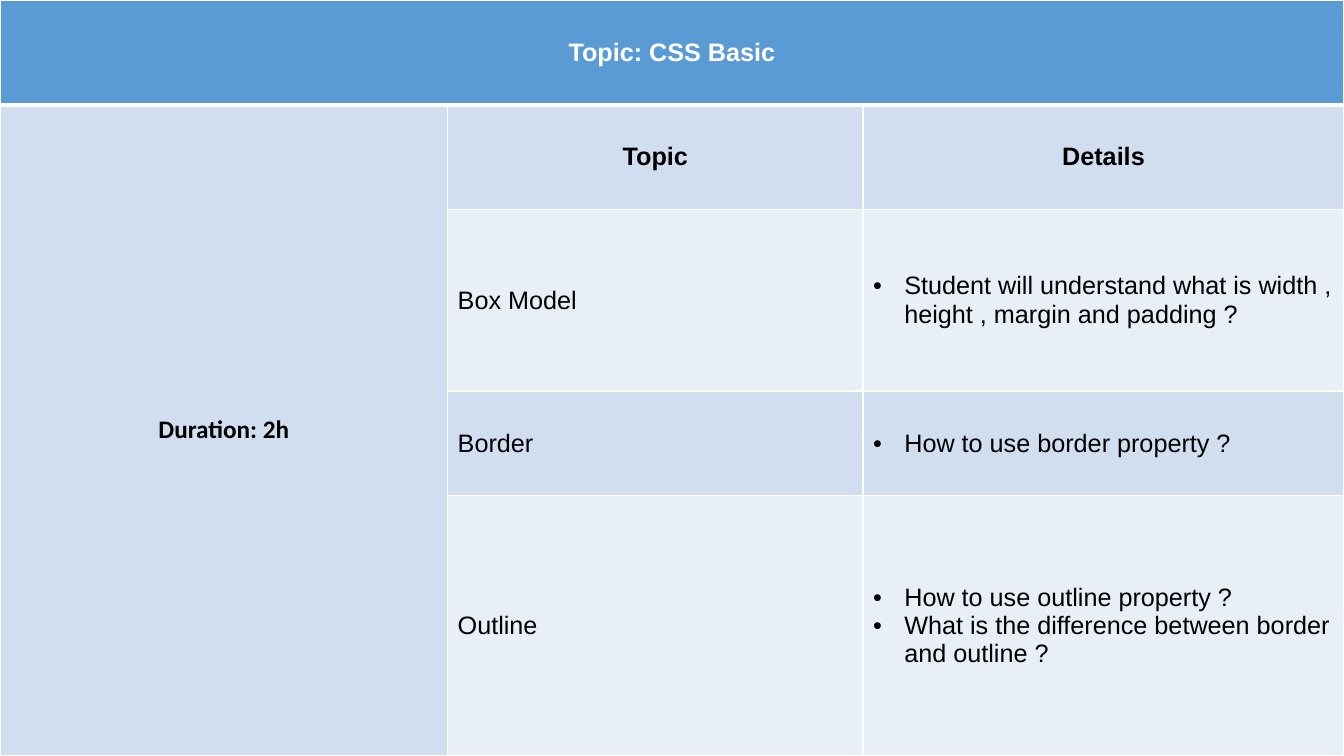
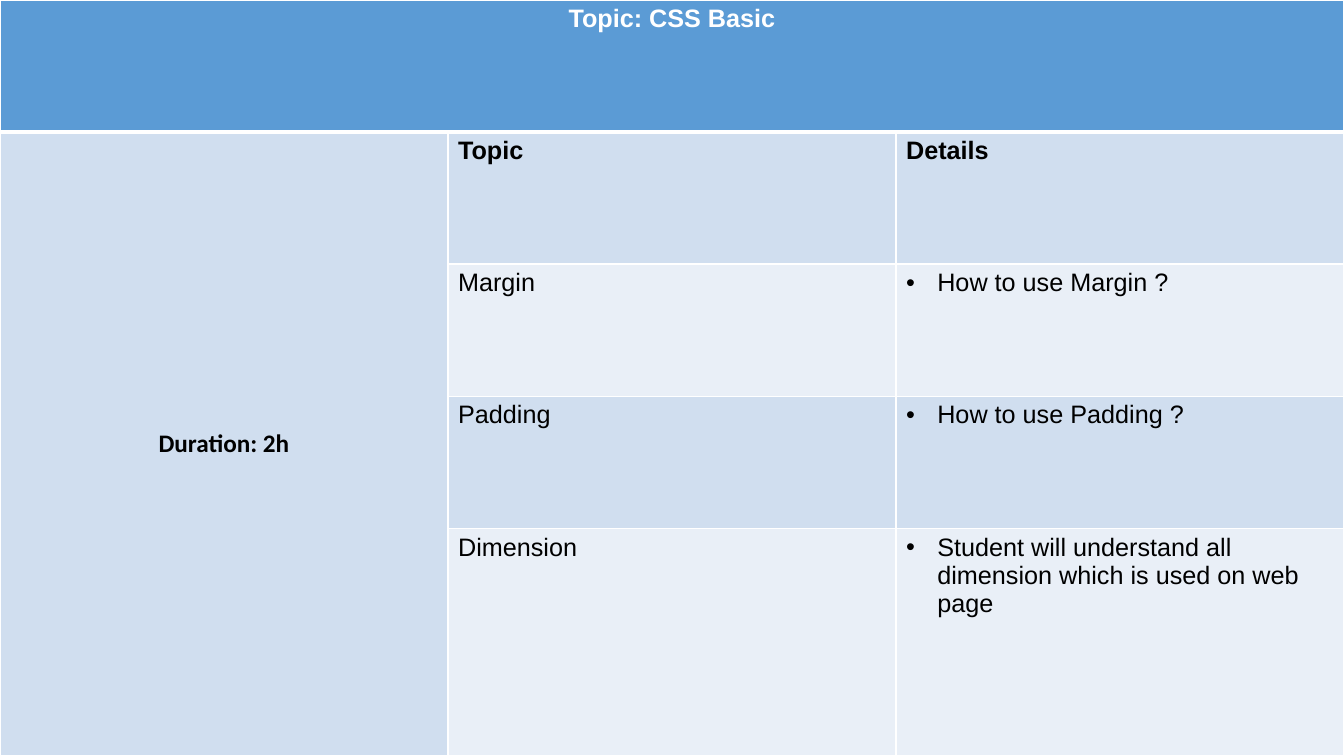
from dataclasses import dataclass

from lxml import etree
from pptx import Presentation
from pptx.dml.color import RGBColor
from pptx.enum.text import MSO_ANCHOR, PP_ALIGN
from pptx.oxml.ns import qn
from pptx.util import Inches, Pt

MIDDLE, TOP = MSO_ANCHOR.MIDDLE, MSO_ANCHOR.TOP
CENTER, LEFT = PP_ALIGN.CENTER, PP_ALIGN.LEFT
BLANK_LAYOUT = 6
SLIDE_WIDTH, SLIDE_HEIGHT = 13.33, 7.5


@dataclass(frozen=True)
class Theme:
    header: str = "5B9BD5"
    bands: tuple = ("D0DEEF", "E9EFF7")
    ink: str = "000000"
    paper: str = "FFFFFF"
    body_font: str = "Arial"
    duration_font: str = "Calibri"
    text_size: float = 18
    thin_line: float = 1
    thick_line: float = 3
    bullet_indent: float = 0.31


class LessonDeck:
    def __init__(self, theme):
        self.theme = theme
        self.deck = Presentation()
        self.deck.slide_width = Inches(SLIDE_WIDTH)
        self.deck.slide_height = Inches(SLIDE_HEIGHT)
        self.page = None

    def add_page(self):
        self.page = self.deck.slides.add_slide(self.deck.slide_layouts[BLANK_LAYOUT])

    def add_grid(self, widths, heights):
        frame = self.page.shapes.add_table(
            len(heights), len(widths), 0, 0, Inches(SLIDE_WIDTH), Inches(SLIDE_HEIGHT))
        table = frame.table
        table.first_row = table.horz_banding = False
        for column, width in zip(table.columns, widths):
            column.width = Inches(width)
        for row, height in zip(table.rows, heights):
            row.height = Inches(height)
        for row_index, row in enumerate(table.rows):
            for cell in row.cells:
                self.paint_cell(cell, row_index)
        return table

    def paint_cell(self, cell, row_index):
        theme = self.theme
        color = theme.bands[(row_index - 1) % 2] if row_index else theme.header
        cell.fill.solid()
        cell.fill.fore_color.rgb = RGBColor.from_string(color)
        edges = {"lnL": theme.thin_line, "lnR": theme.thin_line,
                 "lnT": theme.thick_line if row_index == 1 else theme.thin_line,
                 "lnB": theme.thick_line if row_index == 0 else theme.thin_line}
        properties = cell._tc.get_or_add_tcPr()
        for position, (edge, width) in enumerate(edges.items()):
            line = etree.Element(qn(f"a:{edge}"), w=str(Pt(width)))
            fill = etree.SubElement(line, qn("a:solidFill"))
            etree.SubElement(fill, qn("a:srgbClr"), val=theme.paper)
            properties.insert(position, line)

    def fill_cell(self, cell, lines, anchor, align=LEFT, bulleted=False, **font_format):
        theme = self.theme
        cell.vertical_anchor = anchor
        formats = {"name": theme.body_font, "size": Pt(theme.text_size),
                   "bold": False, **font_format}
        color = formats.pop("color", theme.ink)
        frame = cell.text_frame
        frame.text = "\n".join(lines)
        for para in frame.paragraphs:
            para.alignment = align
            if bulleted:
                self.add_bullet(para)
            for span in para.runs:
                for name, value in formats.items():
                    setattr(span.font, name, value)
                span.font.color.rgb = RGBColor.from_string(color)

    def add_bullet(self, para):
        indent = Inches(self.theme.bullet_indent)
        properties = para._p.get_or_add_pPr()
        properties.set("marL", str(indent))
        properties.set("indent", str(-indent))
        color = etree.SubElement(properties, qn("a:buClr"))
        etree.SubElement(color, qn("a:srgbClr"), val=self.theme.ink)
        etree.SubElement(properties, qn("a:buFont"), typeface=self.theme.body_font)
        etree.SubElement(properties, qn("a:buChar"), char="•")

    def add_lesson(self, widths, heights, anchor, heading_align, topics):
        """Add a page with a title band, a duration column and one row per topic."""
        self.add_page()
        table = self.add_grid(widths, heights)
        table.cell(0, 0).merge(table.cell(0, 2))
        table.cell(1, 0).merge(table.cell(len(heights) - 1, 0))
        self.fill_cell(table.cell(0, 0), ["Topic: CSS Basic"], anchor, CENTER,
                       bold=True, color=self.theme.paper)
        self.fill_cell(table.cell(1, 0), ["Duration: 2h"], MIDDLE, CENTER,
                       bold=True, name=self.theme.duration_font)
        for column, heading in enumerate(("Topic", "Details"), start=1):
            self.fill_cell(table.cell(1, column), [heading], anchor, heading_align, bold=True)
        for row, (topic, details) in enumerate(topics.items(), start=2):
            self.fill_cell(table.cell(row, 1), [topic], anchor)
            self.fill_cell(table.cell(row, 2), details, anchor, bulleted=True)


def main():
    lessons = LessonDeck(Theme())
    lessons.add_lesson(
        widths=(4.44, 4.12, 4.77), heights=(1.04, 1.04, 1.8, 1.04, 2.58),
        anchor=MIDDLE, heading_align=CENTER,
        topics={
            "Box Model": ["Student will understand what is width , height , margin and padding ?"],
            "Border": ["How to use border property ?"],
            "Outline": ["How to use outline property ?",
                        "What is the difference between border and outline ?"],
        })
    lessons.add_lesson(
        widths=[SLIDE_WIDTH / 3] * 3, heights=[1.31] * 4 + [2.26],
        anchor=TOP, heading_align=LEFT,
        topics={
            "Margin": ["How to use Margin ?"],
            "Padding": ["How to use Padding ?"],
            "Dimension": ["Student will understand all dimension which is used on web page"],
        })
    lessons.deck.save("out.pptx")


if __name__ == "__main__":
    main()
